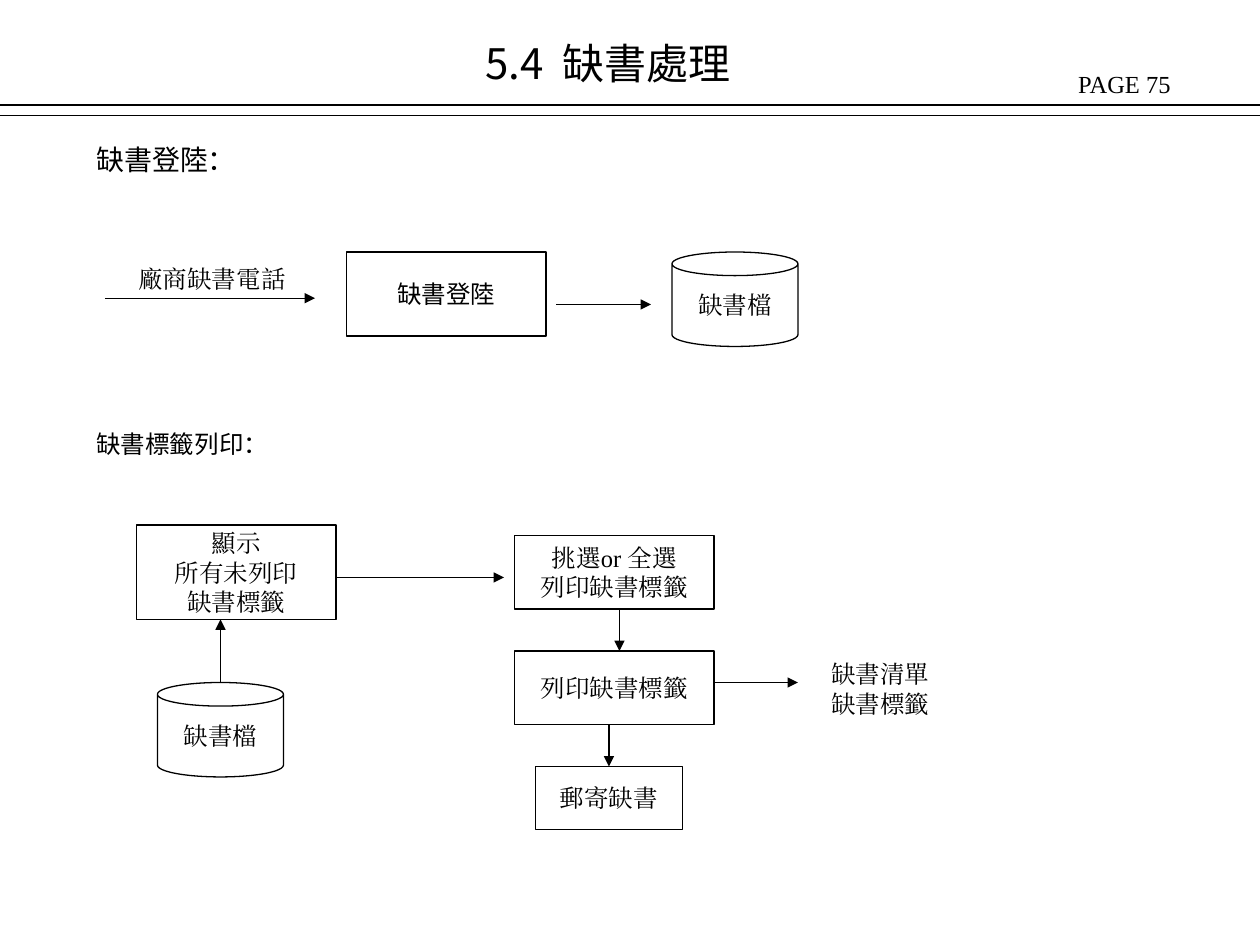
from dataclasses import dataclass

from lxml.etree import SubElement
from pptx import Presentation
from pptx.dml.color import RGBColor
from pptx.enum.shapes import MSO_CONNECTOR as Connector, MSO_SHAPE as Preset
from pptx.enum.text import MSO_ANCHOR as Anchor, MSO_AUTO_SIZE as AutoSize, PP_ALIGN as Align
from pptx.oxml.ns import qn
from pptx.util import Inches, Pt

COLUMNS, ROWS = 120, 90
BLACK = "000000"
SERIF, SANS = "Times New Roman", "Noto Sans CJK TC"

presentation = Presentation()
presentation.slide_width, presentation.slide_height = Inches(10), Inches(7.5)
slide = presentation.slides.add_slide(presentation.slide_layouts[5])


@dataclass
class Node:
    text: str
    column: float
    row: float
    width: float
    height: float
    preset: Preset = Preset.RECTANGLE
    font: str = SERIF


@dataclass
class Label:
    text: str
    column: float
    row: float
    width: float
    height: float
    size: int = 14
    font: str = SERIF


@dataclass
class Line:
    start: tuple[float, float]
    end: tuple[float, float]
    arrow: bool = True


NODES = [
    Node("缺書登陸", 33, 24, 19, 8, font=SANS),
    Node("缺書檔", 64, 24, 12, 9, Preset.CAN),
    Node("顯示\n所有未列印\n缺書標籤", 13, 50, 19, 9),
    Node("缺書檔", 15, 65, 12, 9, Preset.CAN),
    Node("挑選or 全選\n列印缺書標籤", 49, 51, 19, 7),
    Node("列印缺書標籤", 49, 62, 19, 7),
    Node("郵寄缺書", 51, 73, 14, 6),
]

LABELS = [
    Label("PAGE 75", 101.5, 6, 18.8, 4.1),
    Label("缺書登陸：", 8, 13, 15.7, 4.4, 16, SANS),
    Label("廠商缺書電話", 12, 24.6, 16.4, 4.1),
    Label("缺書標籤列印：", 8, 40.3, 18.7, 4.1, font=SANS),
    Label("缺書清單\n缺書標籤", 78, 62.2, 11.8, 6.8),
]

LINES = [
    Line((0, 10), (COLUMNS, 10), False),
    Line((0, 11), (COLUMNS, 11), False),
    Line((10, 28.4), (30, 28.4)),
    Line((53, 29), (62, 29)),
    Line((32, 55), (48, 55)),
    Line((21, 65), (21, 59)),
    Line((59, 58), (59, 62)),
    Line((68, 65), (76, 65)),
    Line((58, 69), (58, 73)),
]


def across(columns: float) -> int:
    return round(presentation.slide_width * columns / COLUMNS)


def down(rows: float) -> int:
    return round(presentation.slide_height * rows / ROWS)


def color(value: str) -> RGBColor:
    return RGBColor.from_string(value)


def area(item: Node | Label) -> tuple[int, int, int, int]:
    return across(item.column), down(item.row), across(item.width), down(item.height)


def write(shape, text: str, size: int, font: str, align: Align, anchor: Anchor, wrap: bool) -> None:
    frame = shape.text_frame
    frame.text = text
    frame.word_wrap = wrap
    frame.vertical_anchor = anchor
    for paragraph in frame.paragraphs:
        paragraph.alignment = align
        paragraph.font.size = Pt(size)
        paragraph.font.name = font
        paragraph.font.color.rgb = color(BLACK)
        properties = paragraph.font._element
        SubElement(properties, qn("a:ea")).set("typeface", font)


def draw_title(text: str) -> None:
    title = slide.shapes.title
    title.left, title.top = across(45), down(3)
    title.width, title.height = across(40), down(6)
    write(title, text, 24, SANS, Align.LEFT, Anchor.TOP, True)
    title.text_frame.auto_size = AutoSize.NONE


def draw_label(label: Label) -> None:
    box = slide.shapes.add_textbox(*area(label))
    write(box, label.text, label.size, label.font, Align.LEFT, Anchor.TOP, False)


def draw_node(node: Node) -> None:
    shape = slide.shapes.add_shape(node.preset, *area(node))
    shape.shadow.inherit = False
    shape.fill.background()
    shape.line.color.rgb = color(BLACK)
    shape.line.width = Pt(0.75)
    write(shape, node.text, 14, node.font, Align.CENTER, Anchor.MIDDLE, False)


def draw_line(line: Line) -> None:
    (left, top), (right, bottom) = line.start, line.end
    connector = slide.shapes.add_connector(
        Connector.STRAIGHT, across(left), down(top), across(right), down(bottom))
    connector.line.color.rgb = color(BLACK)
    connector.line.width = Pt(0.75)
    if line.arrow:
        SubElement(connector.line._get_or_add_ln(), qn("a:tailEnd")).set("type", "triangle")
    SubElement(connector._element.spPr, qn("a:effectLst"))


def main() -> None:
    draw_title("5.4  缺書處理")
    for line in LINES:
        draw_line(line)
    for node in NODES:
        draw_node(node)
    for label in LABELS:
        draw_label(label)
    presentation.save("out.pptx")


if __name__ == "__main__":
    main()
